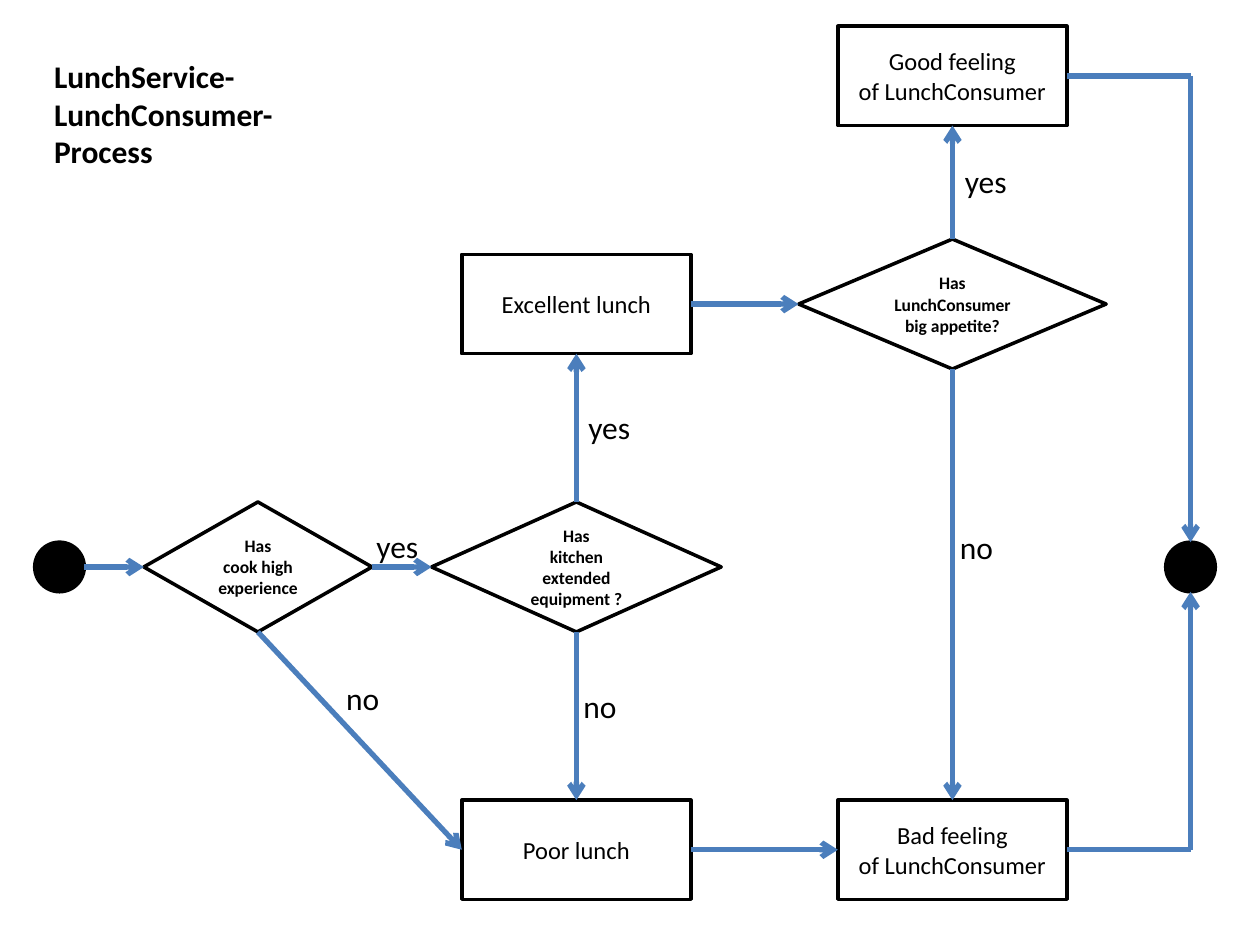
import pptx
import pptx.util
import pptx.dml.color
import pptx.enum.shapes
import pptx.enum.text
import pptx.oxml.ns
import lxml.etree

Cm, Pt = pptx.util.Cm, pptx.util.Pt
Rgb = pptx.dml.color.RGBColor.from_string
Kind = pptx.enum.shapes.MSO_SHAPE
Align = pptx.enum.text.PP_ALIGN
qn = pptx.oxml.ns.qn


class Theme:
    font = "Calibri"
    ink, paper, flow = "000000", "FFFFFF", "4B7EBC"
    ask, step, label = 10, 14, 18
    edge, arrow = 2, 3


# Content: centres of columns and rows in cm
cols = {"start": 1.2, "cook": 5.2, "lunch": 11.62, "mood": 19.2, "end": 24}
rows = {"good": 1.53, "high": 6.13, "mid": 11.43, "low": 17.13}

# Looks: preset shape, width, height, fill, text size, bold
looks = {
    "dot": (Kind.OVAL, 1, 1, Theme.ink, Theme.step, False),
    "ask": (Kind.DIAMOND, None, 2.62, Theme.paper, Theme.ask, True),
    "step": (Kind.RECTANGLE, 4.62, 2, Theme.paper, Theme.step, False),
}

# Nodes: look, column, row, lines of text, own width
nodes = {
    "start": ("dot", "start", "mid", [], None),
    "cook": ("ask", "cook", "mid", ["Has", "cook high experience"], 4.6),
    "kitchen": ("ask", "lunch", "mid",
                ["Has", "kitchen extended equipment ?"], 5.84),
    "hunger": ("ask", "mood", "high",
               ["Has", "LunchConsumer big appetite?"], 6.2),
    "fine": ("step", "lunch", "high", ["Excellent lunch"], None),
    "poor": ("step", "lunch", "low", ["Poor lunch"], None),
    "good": ("step", "mood", "good", ["Good feeling", "of LunchConsumer"], None),
    "bad": ("step", "mood", "low", ["Bad feeling", "of LunchConsumer"], None),
    "end": ("dot", "end", "mid", [], None),
}

# Flows: from node and side, to node and side
flows = [
    ("start", "right", "cook", "left"),
    ("cook", "right", "kitchen", "left"),
    ("cook", "bottom", "poor", "left"),
    ("kitchen", "top", "fine", "bottom"),
    ("kitchen", "bottom", "poor", "top"),
    ("fine", "right", "hunger", "left"),
    ("poor", "right", "bad", "left"),
    ("hunger", "top", "good", "bottom"),
    ("hunger", "bottom", "bad", "top"),
    ("good", "right", "end", "top"),
    ("bad", "right", "end", "bottom"),
]

# Labels: lines, left, top, width, height, bold
yes, no = (1.37, 1.02), (1.19, 1.02)
labels = [
    (["yes"], 11.61, 8.1, *yes, False),
    (["yes"], 7.34, 10.49, *yes, False),
    (["yes"], 19.2, 3.15, *yes, False),
    (["no"], 6.73, 13.56, *no, False),
    (["no"], 11.51, 13.72, *no, False),
    (["no"], 19.1, 10.52, *no, False),
    (["LunchService-", "LunchConsumer-", "Process"],
     0.84, 1.02, 4.98, 2.57, True),
]

sides = {"left": (-0.5, 0), "right": (0.5, 0),
         "top": (0, -0.5), "bottom": (0, 0.5)}

deck = pptx.Presentation()
deck.slide_width, deck.slide_height = Cm(25.4), Cm(19.05)
slide = deck.slides.add_slide(deck.slide_layouts[6])
shapes = slide.shapes


def write(frame, lines, size, bold, align):
    frame.text = "\n".join(lines)
    for para in frame.paragraphs:
        para.alignment = align
        para.font.name = Theme.font
        para.font.size = Pt(size)
        para.font.bold = bold
        para.font.color.rgb = Rgb(Theme.ink)


def place(look, col, row, lines, own):
    kind, wide, high, fill, size, bold = looks[look]
    wide = own or wide
    x, y = cols[col], rows[row]
    shape = shapes.add_shape(kind, Cm(x - wide / 2), Cm(y - high / 2),
                             Cm(wide), Cm(high))
    shape.shadow.inherit = False
    shape.fill.solid()
    shape.fill.fore_color.rgb = Rgb(fill)
    shape.line.color.rgb = Rgb(Theme.ink)
    shape.line.width = Pt(Theme.edge)
    if lines:
        shape.text_frame.vertical_anchor = pptx.enum.text.MSO_ANCHOR.MIDDLE
        write(shape.text_frame, lines, size, bold, Align.CENTER)
    return x, y, wide, high


def link(start, stop, head):
    line = shapes.add_connector(pptx.enum.shapes.MSO_CONNECTOR.STRAIGHT,
                                *map(Cm, start + stop))
    line.line.color.rgb = Rgb(Theme.flow)
    line.line.width = Pt(Theme.arrow)
    if head:
        tail = lxml.etree.SubElement(line.line._get_or_add_ln(),
                                     qn("a:tailEnd"))
        tail.set("type", "arrow")
    lxml.etree.SubElement(line._element.spPr, qn("a:effectLst"))


# Nodes
boxes = {name: place(*node) for name, node in nodes.items()}


def port(name, side):
    x, y, wide, high = boxes[name]
    dx, dy = sides[side]
    return x + dx * wide, y + dy * high


# Flows: those that end in the last dot turn a corner
for source, out, target, into in flows:
    start, stop = port(source, out), port(target, into)
    if target == "end":
        bend = (stop[0], start[1])
        link(start, bend, False)
        start = bend
    link(start, stop, True)

# Labels and title
for lines, left, top, wide, high, bold in labels:
    frame = shapes.add_textbox(Cm(left), Cm(top), Cm(wide), Cm(high)).text_frame
    frame.word_wrap = False
    frame.auto_size = pptx.enum.text.MSO_AUTO_SIZE.SHAPE_TO_FIT_TEXT
    write(frame, lines, Theme.label, bold, Align.LEFT)

deck.save("out.pptx")
